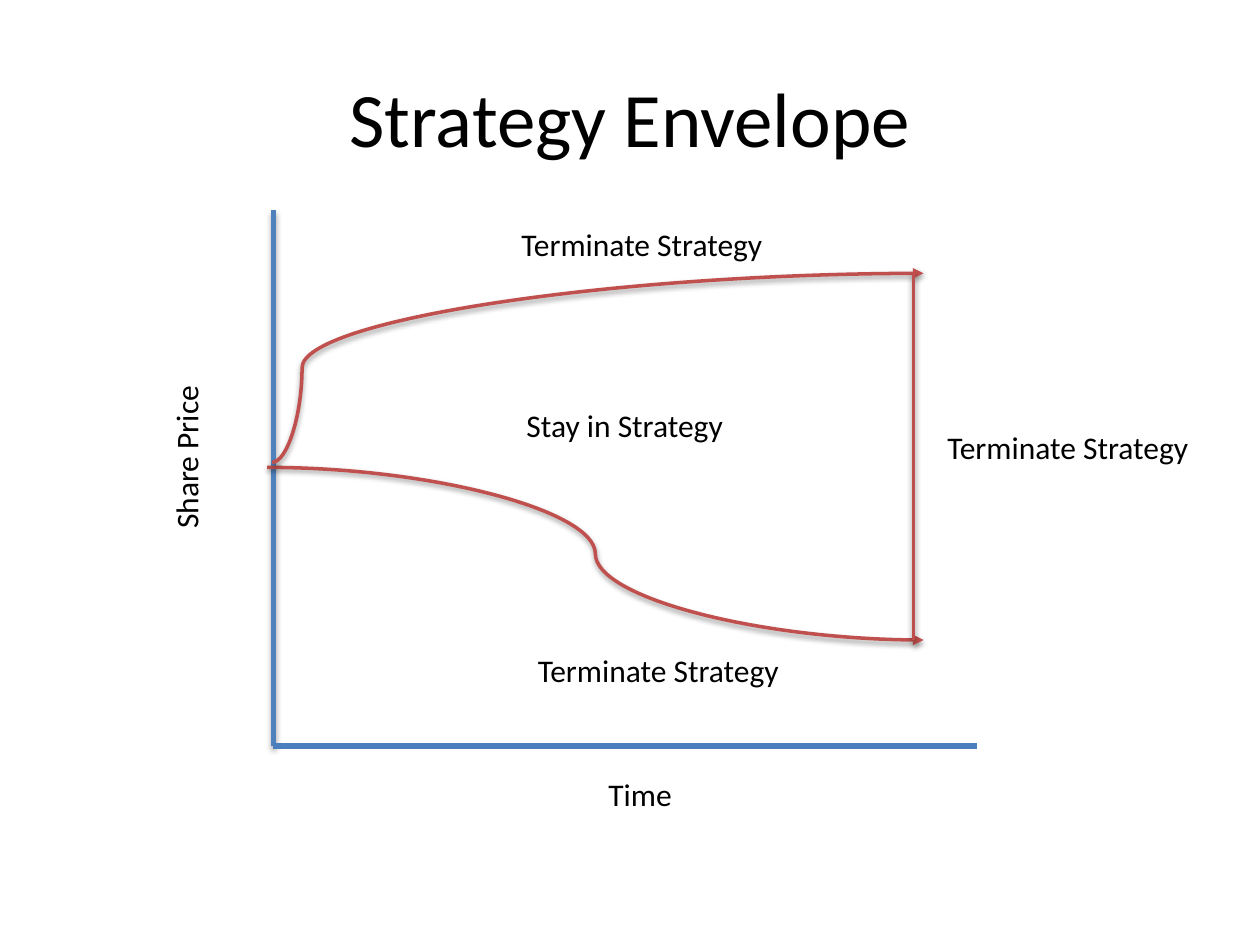
from lxml import etree
from pptx import Presentation
from pptx.dml.color import RGBColor
from pptx.enum.shapes import MSO_CONNECTOR
from pptx.enum.text import MSO_ANCHOR, MSO_AUTO_SIZE, PP_ALIGN
from pptx.oxml.ns import qn
from pptx.util import Inches, Pt

STRAIGHT, CURVE = MSO_CONNECTOR.STRAIGHT, MSO_CONNECTOR.CURVE
MIDDLE = MSO_ANCHOR.MIDDLE
CENTER = PP_ALIGN.CENTER
FIT_SHAPE = MSO_AUTO_SIZE.SHAPE_TO_FIT_TEXT

COLORS = {"text": "000000", "y_axis": "4F81BD", "x_axis": "4B7EBC",
          "envelope": "C0504D", "shadow": "000000"}
FONT = "Calibri"


def set_font(p, size):
    p.font.name = FONT
    p.font.size = Pt(size)
    p.font.color.rgb = RGBColor.from_string(COLORS["text"])


def add_shadow(spPr, alpha, dist):
    effects = etree.SubElement(spPr, qn("a:effectLst"))
    if not alpha:
        return
    shadow = etree.SubElement(effects, qn("a:outerShdw"), blurRad=str(Pt(3.15)),
                              dist=str(Pt(dist)), dir="5400000", rotWithShape="0")
    color = etree.SubElement(shadow, qn("a:srgbClr"), val=COLORS["shadow"])
    etree.SubElement(color, qn("a:alpha"), val=str(alpha * 1000))


def add_line(s, start, end, color, width, kind=STRAIGHT, bend=None,
             arrow=False, alpha=38, dist=1.6):
    points = [Inches(v) for v in (*start, *end)]
    line = s.shapes.add_connector(kind, *points)
    line.line.color.rgb = RGBColor.from_string(COLORS[color])
    line.line.width = Pt(width)
    spPr = line._element.spPr
    if bend is not None:
        guides = spPr.find(qn("a:prstGeom")).find(qn("a:avLst"))
        etree.SubElement(guides, qn("a:gd"), name="adj1",
                         fmla=f"val {round(bend * 100000)}")
    if arrow:
        etree.SubElement(spPr.find(qn("a:ln")), qn("a:tailEnd"), type="triangle")
    add_shadow(spPr, alpha, dist)


def add_label(s, text, left, top, width, rotation=0):
    sp = s.shapes.add_textbox(Inches(left), Inches(top), Inches(width), Inches(0.4))
    sp.rotation = rotation
    tf = sp.text_frame
    tf.word_wrap = False
    tf.auto_size = FIT_SHAPE
    p = tf.paragraphs[0]
    p.text = text
    set_font(p, 18)


def add_title(s, text, left, top, width, height):
    sp = s.shapes.title
    sp.left, sp.top = Inches(left), Inches(top)
    sp.width, sp.height = Inches(width), Inches(height)
    tf = sp.text_frame
    tf.vertical_anchor = MIDDLE
    p = tf.paragraphs[0]
    p.text = text
    p.alignment = CENTER
    set_font(p, 44)


def add_axes(s, left, top, width, height):
    bottom = top + height
    add_line(s, (left, top), (left, bottom), "y_axis", 3, alpha=35, dist=1.8)
    add_line(s, (left, bottom), (left + width, bottom), "x_axis", 3, alpha=0)
    add_label(s, "Time", left + 2.56, bottom + 0.18, 0.71)
    add_label(s, "Share Price", left - 1.37, top + 1.75, 1.35, rotation=270)


def add_envelope(s, left, top, width, height):
    right, bottom = left + width, top + height
    add_line(s, (left - 0.04, top + 1.54), (right, bottom), "envelope", 2,
             kind=CURVE, bend=0.5, arrow=True)
    add_line(s, (left, top + 1.5), (right, top), "envelope", 2,
             kind=CURVE, bend=0.046, arrow=True)
    add_line(s, (right - 0.08, top), (right - 0.08, bottom), "envelope", 2)
    add_label(s, "Stay in Strategy", left + 1.92, top + 1, 1.78)
    for x, y in ((left + 1.88, top - 0.43), (left + 2.01, bottom + 0.04),
                 (right + 0.09, top + 1.18)):
        add_label(s, "Terminate Strategy", x, y, 2.13)


def main():
    prs = Presentation()
    prs.slide_width, prs.slide_height = Inches(10), Inches(7.5)
    s = prs.slides.add_slide(prs.slide_layouts[5])
    add_title(s, "Strategy Envelope", 0.5, 0.3, 9, 1.25)
    add_axes(s, 2.17, 1.67, 5.58, 4.25)
    add_envelope(s, 2.16, 2.17, 5.17, 2.91)
    prs.save("out.pptx")


if __name__ == "__main__":
    main()
